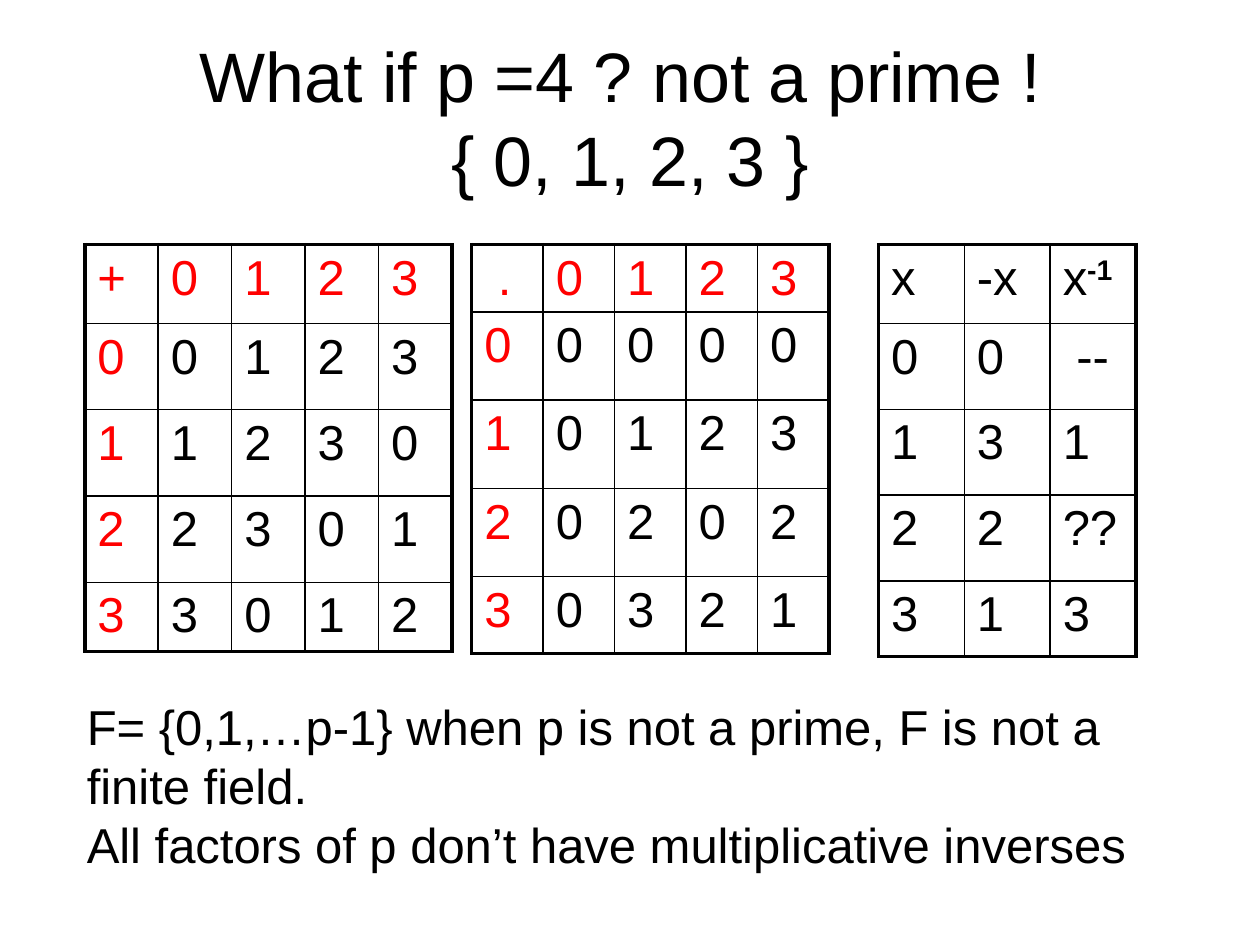
from lxml.etree import SubElement, Element
from pptx import Presentation
from pptx.dml.color import RGBColor as RGB
from pptx.enum.text import MSO_ANCHOR as Anchor, MSO_AUTO_SIZE as Fit, PP_ALIGN as Align
from pptx.oxml.ns import qn
from pptx.util import Cm, Pt

INK = {"black": "000000", "red": "FF0000"}
THIN, THICK = 1, 2.25


def style(run, size, color="black"):
    run.font.name = "Arial"
    run.font.size = Pt(size)
    run.font.color.rgb = RGB.from_string(INK[color])


def frame(cell, widths):
    """Draw the cell's left, right, top and bottom borders in the given points."""
    props = cell._tc.get_or_add_tcPr()
    for i, (side, width) in enumerate(zip("LRTB", widths)):
        line = Element(qn(f"a:ln{side}"), w=str(Pt(width)))
        fill = SubElement(line, qn("a:solidFill"))
        SubElement(fill, qn("a:srgbClr"), val=INK["black"])
        props.insert(i, line)


prs = Presentation()
prs.slide_width, prs.slide_height = Cm(25.4), Cm(19.05)
slide = prs.slides.add_slide(prs.slide_layouts[5])

title = slide.shapes.title
title.left, title.top, title.width, title.height = Cm(1.27), Cm(0.76), Cm(22.86), Cm(3.18)
title.text_frame.text = "What if p =4 ? not a prime ! \v{ 0, 1, 2, 3 }"
title.text_frame.vertical_anchor = Anchor.MIDDLE
head = title.text_frame.paragraphs[0]
head.alignment = Align.CENTER
for run in head.runs:
    style(run, 40)

# Addition and multiplication modulo 4, then the inverses
nums = range(4)
add = [["+", *nums]] + [[a, *((a + b) % 4 for b in nums)] for a in nums]
mult = [[" .", *nums]] + [[a, *(a * b % 4 for b in nums)] for a in nums]
inv = [["x", "-x", "x"]] + [[a, -a % 4, m] for a, m in zip(nums, [" --", 1, "??", 3])]

# Values, left, column width, row heights, red headings
grids = [
    (add, 1.71, 1.48, [1.59, 1.74, 1.74, 1.74, 1.4], True),
    (mult, 9.51, 1.44, [1.3, 1.78, 1.78, 1.78, 1.55], True),
    (inv, 17.71, 1.73, [1.59, 1.73, 1.73, 1.73, 1.53], False),
]
for rows, left, width, heights, marked in grids:
    count = len(rows[0])
    table = slide.shapes.add_table(
        len(rows), count, Cm(left), Cm(4.93), Cm(width * count), Cm(sum(heights))
    ).table
    table.first_row = table.horz_banding = False
    for col in table.columns:
        col.width = Cm(width)
    for r, (row, height) in enumerate(zip(rows, heights)):
        table.rows[r].height = Cm(height)
        for c, value in enumerate(row):
            cell = table.cell(r, c)
            cell.fill.background()
            edges = [c == 0, c == count - 1, r == 0, r == len(rows) - 1]
            frame(cell, [THICK if edge else THIN for edge in edges])
            cell.text_frame.text = str(value)
            para = cell.text_frame.paragraphs[0]
            gap = SubElement(para._p.get_or_add_pPr(), qn("a:spcBef"))
            SubElement(gap, qn("a:spcPct"), val="20000")
            style(para.runs[0], 28, "red" if marked and 0 in (r, c) else "black")

# The last table is the inverses: raise its exponent
power = table.cell(0, 2).text_frame.paragraphs[0].add_run()
power.text = "-1"
style(power, 28)
power.font.bold = True
power.font._element.set("baseline", "30000")

note = slide.shapes.add_textbox(Cm(1.5), Cm(13.92), Cm(22.2), Cm(3.81)).text_frame
note.word_wrap = True
note.auto_size = Fit.SHAPE_TO_FIT_TEXT
note.text = (
    "F= {0,1,…p-1} when p is not a prime, F is not a finite field.\n"
    "All factors of p don’t have multiplicative inverses"
)
for para in note.paragraphs:
    style(para.runs[0], 28)

prs.save("out.pptx")
